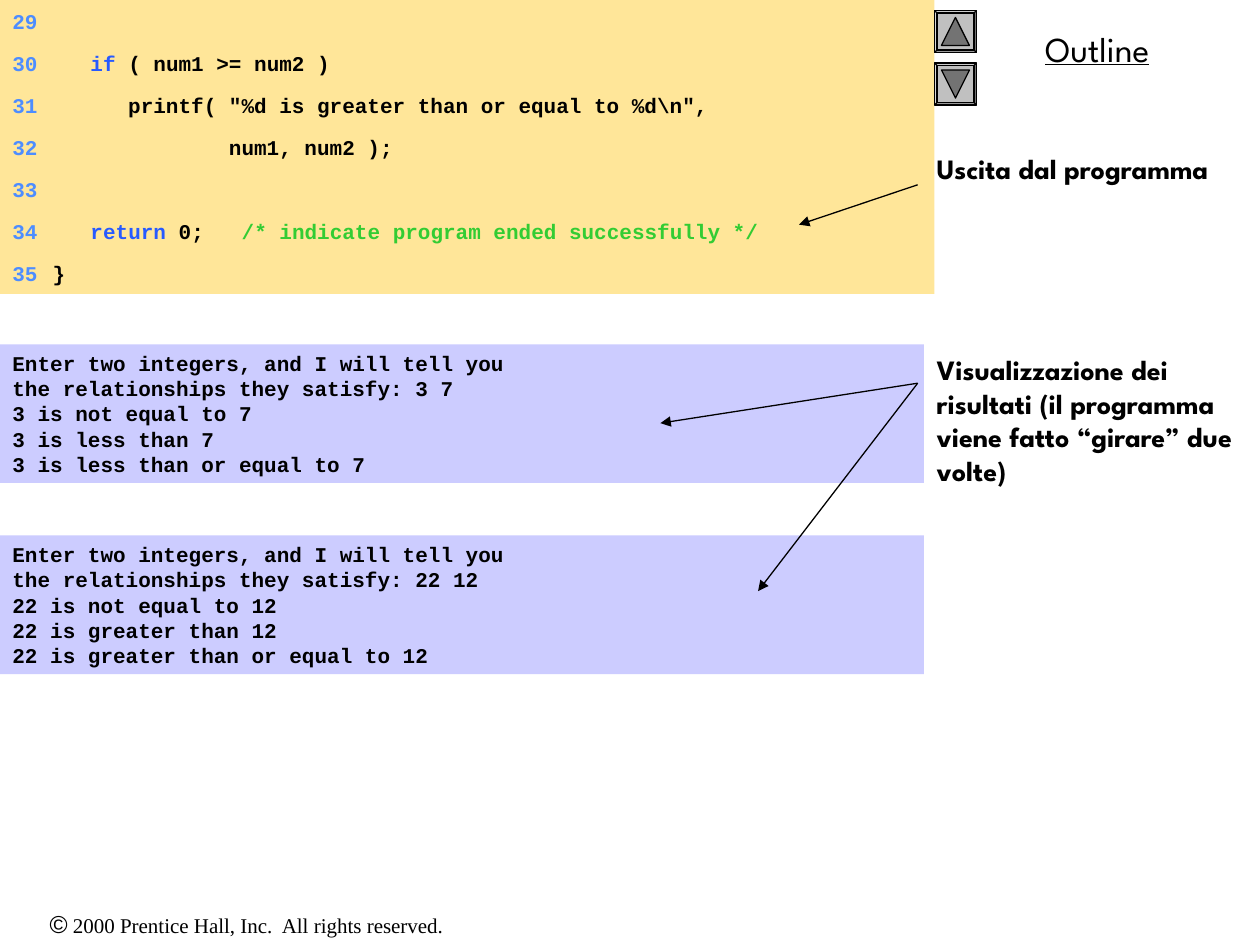
import pptx
import pptx.util
import pptx.dml.color
import pptx.enum.shapes
import pptx.enum.text
import pptx.oxml.ns
from dataclasses import dataclass
from lxml import etree

SHAPES = pptx.enum.shapes.MSO_SHAPE
ALIGN = pptx.enum.text.PP_ALIGN
ANCHOR = pptx.enum.text.MSO_ANCHOR


@dataclass(frozen=True)
class Theme:
    ink: str = "000000"
    code_fill: str = "FFE699"
    output_fill: str = "CCCCFF"
    number: str = "4D8DFF"
    keyword: str = "275AFF"
    comment: str = "33CC33"
    button: str = "C0C0C0"
    triangle: str = "737373"
    code_font: str = "Courier New"
    display_font: str = "League Spartan"
    symbol_font: str = "Arial"
    footer_font: str = "Times New Roman"
    title_size: float = 20
    note_size: float = 16
    symbol_size: float = 14
    code_size: float = 12
    leading: float = 1.2
    line_width: float = 0.75


class SlideBuilder:
    """Places elements on a grid of 120 columns by 90 rows."""

    COLUMNS, ROWS = 120, 90

    def __init__(self, deck, page, theme):
        self.page, self.theme = page, theme
        self.column = deck.slide_width / self.COLUMNS
        self.row = deck.slide_height / self.ROWS

    def area(self, left, top, width, height):
        return (round(left * self.column), round(top * self.row),
                round(width * self.column), round(height * self.row))

    def color(self, target, value):
        target.rgb = pptx.dml.color.RGBColor.from_string(value)

    def frame(self, box, anchor=ANCHOR.TOP):
        frame = box.text_frame
        frame.word_wrap = True
        frame.auto_size = pptx.enum.text.MSO_AUTO_SIZE.NONE
        frame.vertical_anchor = anchor
        return frame

    def span(self, para, text, font, size, color, bold=False, underline=False):
        span = para.add_run()
        span.text = text
        span.font.name, span.font.size = font, pptx.util.Pt(size)
        span.font.bold, span.font.underline = bold, underline
        self.color(span.font.color, color)

    def paragraph(self, frame, index, size, align=ALIGN.LEFT, before=0):
        para = frame.add_paragraph() if index else frame.paragraphs[0]
        para.alignment = align
        para.space_before = pptx.util.Pt(before)
        para.line_spacing = pptx.util.Pt(size * self.theme.leading)
        return para

    def placeholder(self, box, area, texts, size, align, gap=0, **look):
        box.left, box.top, box.width, box.height = self.area(*area)
        frame = self.frame(box)
        for index, text in enumerate(texts):
            para = self.paragraph(frame, index, size, align, gap if index else 0)
            self.span(para, text, self.theme.display_font, size, self.theme.ink, **look)

    def shape(self, kind, area, fill, outlined=False):
        shape = self.page.shapes.add_shape(kind, *self.area(*area))
        shape.shadow.inherit = False
        shape.fill.solid()
        self.color(shape.fill.fore_color, fill)
        if outlined:
            shape.line.width = pptx.util.Pt(self.theme.line_width)
            self.color(shape.line.color, self.theme.ink)
        else:
            shape.line.fill.background()
        return shape

    def code_line(self, area, number, spans):
        frame = self.frame(self.shape(SHAPES.RECTANGLE, area, self.theme.code_fill),
                           ANCHOR.MIDDLE)
        para = self.paragraph(frame, 0, self.theme.code_size)
        self.tab_stops(para, ((0.15, "r"), (0.32, "l")))
        for text, color in [(f"\t{number}\t", self.theme.number), *spans]:
            self.span(para, text, self.theme.code_font, self.theme.code_size, color, bold=True)

    def tab_stops(self, para, stops):
        properties = para._p.get_or_add_pPr()
        tabs = etree.SubElement(properties, pptx.oxml.ns.qn("a:tabLst"))
        for position, align in stops:
            etree.SubElement(tabs, pptx.oxml.ns.qn("a:tab"),
                             pos=str(pptx.util.Inches(position)), algn=align)

    def output(self, area, lines):
        frame = self.frame(self.shape(SHAPES.RECTANGLE, area, self.theme.output_fill))
        for index, line in enumerate(lines):
            para = self.paragraph(frame, index, self.theme.code_size)
            self.span(para, line, self.theme.code_font, self.theme.code_size,
                      self.theme.ink, bold=True)

    def button(self, left, top, side, rotation):
        """Bevelled square holding a triangle that points up at rotation 0."""
        bevel = self.shape(SHAPES.BEVEL, (left, top, side, side), self.theme.button, True)
        bevel.adjustments[0] = 0.06
        inset = side / 6
        size = side - 2 * inset
        triangle = self.shape(SHAPES.ISOSCELES_TRIANGLE,
                              (left + inset, top + inset, size, size),
                              self.theme.triangle, True)
        triangle.rotation = rotation

    def arrow(self, start, end):
        line = self.page.shapes.add_connector(
            pptx.enum.shapes.MSO_CONNECTOR.STRAIGHT,
            *self.area(*start, *end))
        line.line.width = pptx.util.Pt(self.theme.line_width)
        self.color(line.line.color, self.theme.ink)
        etree.SubElement(line.line._get_or_add_ln(), pptx.oxml.ns.qn("a:tailEnd"),
                         type="triangle")
        etree.SubElement(line._element.spPr, pptx.oxml.ns.qn("a:effectLst"))

    def footer(self, area):
        box = self.page.shapes.add_textbox(*self.area(*area))
        para = self.frame(box).paragraphs[0]
        para.alignment = ALIGN.CENTER
        theme = self.theme
        self.span(para, "©", theme.symbol_font, theme.symbol_size, theme.ink)
        self.span(para, " 2000 Prentice Hall, Inc.  All rights reserved.",
                  theme.footer_font, theme.code_size, theme.ink)


def main():
    deck = pptx.Presentation()
    deck.slide_width, deck.slide_height = pptx.util.Inches(10), pptx.util.Inches(7.5)
    page = deck.slides.add_slide(deck.slide_layouts[0])
    theme = Theme()
    builder = SlideBuilder(deck, page, theme)

    builder.placeholder(page.shapes.title, (89, 2, 31, 5.3), ["Outline"],
                        theme.title_size, ALIGN.CENTER, underline=True)
    builder.placeholder(
        page.placeholders[1], (88, 13.8, 32, 43.4),
        ["Uscita dal programma",
         "Visualizzazione dei risultati (il programma viene fatto “girare” due volte)"],
        theme.note_size, ALIGN.LEFT, gap=96, bold=True)

    code = [
        [],
        [("   ", theme.ink), ("if", theme.keyword), (" ( num1 >= num2 )", theme.ink)],
        [('      printf( "%d is greater than or equal to %d\\n",', theme.ink)],
        [("              num1, num2 );", theme.ink)],
        [],
        [("   ", theme.ink), ("return", theme.keyword), (" 0;   ", theme.ink),
         ("/* indicate program ended successfully */", theme.comment)],
        [("}", theme.ink)],
    ]
    line_height = 4
    for index, spans in enumerate(code):
        builder.code_line((0, index * line_height, 89, line_height), 29 + index, spans)

    runs = [(32.8, "3", "7", "less"), (51, "22", "12", "greater")]
    for top, first, second, relation in runs:
        builder.output((0, top, 88, 13.2), [
            "Enter two integers, and I will tell you",
            f"the relationships they satisfy: {first} {second}",
            f"{first} is not equal to {second}",
            f"{first} is {relation} than {second}",
            f"{first} is {relation} than or equal to {second}",
        ])

    for top, rotation in ((1, 0), (6, 180)):
        builder.button(89, top, 4, rotation)

    results = (87.4, 36.5)
    for start, end in (((87.4, 17.6), (76.1, 21.4)),
                       (results, (62.9, 40.3)),
                       (results, (72.2, 56.3))):
        builder.arrow(start, end)

    builder.footer((0, 86, 47, 4))
    deck.save("out.pptx")


if __name__ == "__main__":
    main()
